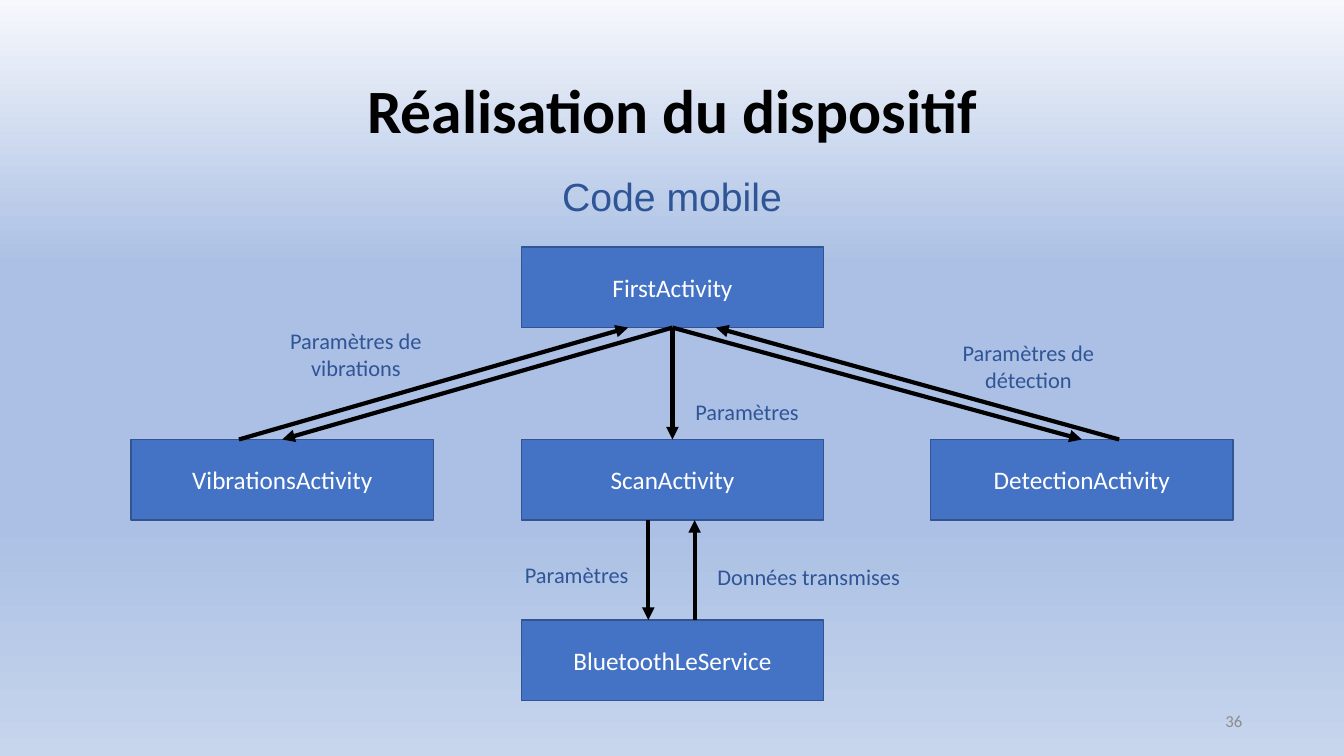
"""Build the slide that shows the activities of the mobile code."""
from lxml.etree import SubElement
from pptx import Presentation
from pptx.dml.color import RGBColor
from pptx.enum.shapes import MSO_CONNECTOR, MSO_SHAPE
from pptx.enum.text import MSO_ANCHOR, PP_ALIGN
from pptx.oxml import parse_xml
from pptx.oxml.ns import nsdecls, qn
from pptx.util import Inches, Pt

TITLE = "Réalisation du dispositif"
TOPIC = "Code mobile"
NUMBER = "36"
BLUE, EDGE, NAVY, BLACK, WHITE, GREY = (
    "4472C4", "325491", "2F5597", "000000", "FFFFFF", "8C8C8C")
STOPS = [(0, "F6F8FC"), (35, "ABC0E4"), (69, "ABC0E4"), (100, "C7D5ED")]
BOX_W, BOX_H = 3, 0.8
LEFT, MID, RIGHT = 1.3, 5.17, 9.23
TOP, ROW, LOW = 2.45, 4.36, 6.15
BOXES = {
    "FirstActivity": (MID, TOP),
    "ScanActivity": (MID, ROW),
    "VibrationsActivity": (LEFT, ROW),
    "DetectionActivity": (RIGHT, ROW),
    "BluetoothLeService": (MID, LOW),
}
CALLS = ["ScanActivity", "VibrationsActivity", "DetectionActivity"]
ARROWS = [
    (6.43, ROW + BOX_H, 6.43, LOW),
    (6.89, LOW, 6.89, ROW + BOX_H),
    (2.37, ROW, 6.23, TOP + BOX_H),
    (11.1, ROW, 7.1, TOP + BOX_H),
]
LABEL_W = 2.4
LABELS = [
    ("Paramètres de vibrations", 2.33, 3.2, 0.64),
    ("Paramètres de détection", 9, 3.32, 0.64),
    ("Paramètres", 6.21, 3.9, 0.37),
    ("Paramètres", 4.52, 5.52, 0.37),
    ("Données transmises", 6.82, 5.54, 0.37),
]


def color(code):
    return RGBColor.from_string(code)


def write(shape, text, size=16, code=NAVY, font="Calibri", bold=False,
          align=PP_ALIGN.CENTER, anchor=MSO_ANCHOR.TOP, space=None):
    frame = shape.text_frame
    frame.word_wrap = True
    frame.vertical_anchor = anchor
    para = frame.paragraphs[0]
    para.alignment = align
    para.line_spacing = space
    run = para.add_run()
    run.text = text
    run.font.size = Pt(size)
    run.font.name = font
    run.font.bold = bold
    run.font.color.rgb = color(code)


def add_text(slide, text, x, y, w, h, **style):
    area = slide.shapes.add_textbox(Inches(x), Inches(y), Inches(w), Inches(h))
    write(area, text, **style)


def add_box(slide, name, x, y):
    box = slide.shapes.add_shape(MSO_SHAPE.RECTANGLE, Inches(x), Inches(y),
                                 Inches(BOX_W), Inches(BOX_H))
    box.shadow.inherit = False
    box.fill.solid()
    box.fill.fore_color.rgb = color(BLUE)
    box.line.color.rgb = color(EDGE)
    box.line.width = Pt(1)
    write(box, name, size=18, code=WHITE, anchor=MSO_ANCHOR.MIDDLE)
    return box


def add_arrow(slide, *ends):
    arrow = slide.shapes.add_connector(MSO_CONNECTOR.STRAIGHT, *map(Inches, ends))
    arrow.line.color.rgb = color(BLACK)
    arrow.line.width = Pt(3)
    SubElement(arrow.line._get_or_add_ln(), qn("a:tailEnd"), type="triangle")
    SubElement(arrow._element.spPr, qn("a:effectLst"))
    return arrow


def paint(slide):
    fill = slide.background.fill
    fill.gradient()
    fill.gradient_angle = 270
    stops = slide.background._cSld.find(".//" + qn("a:gsLst"))
    for stop in list(stops):
        stops.remove(stop)
    for place, code in STOPS:
        stops.append(parse_xml(
            f'<a:gs {nsdecls("a")} pos="{place * 1000}">'
            f'<a:srgbClr val="{code}"/></a:gs>'))


def main():
    deck = Presentation()
    deck.slide_width, deck.slide_height = Inches(13.33), Inches(7.5)
    slide = deck.slides.add_slide(deck.slide_layouts[5])
    paint(slide)

    title = slide.shapes.title
    title.left, title.top = Inches(0.92), Inches(0.4)
    title.width, title.height = Inches(11.5), Inches(1.45)
    write(title, TITLE, size=44, code=BLACK, bold=True,
          anchor=MSO_ANCHOR.MIDDLE, space=0.9)
    add_text(slide, NUMBER, 9.42, 6.95, 3, 0.4, size=12, code=GREY,
             align=PP_ALIGN.RIGHT, anchor=MSO_ANCHOR.MIDDLE)
    add_text(slide, TOPIC, 2.6, 1.66, 8.13, 0.57, size=28, font="Arial")

    boxes = {name: add_box(slide, name, *spot) for name, spot in BOXES.items()}
    for name in CALLS:
        arrow = add_arrow(slide, MID + BOX_W / 2, TOP + BOX_H,
                          BOXES[name][0] + BOX_W / 2, ROW)
        arrow.begin_connect(boxes["FirstActivity"], 2)
        arrow.end_connect(boxes[name], 0)
    for ends in ARROWS:
        add_arrow(slide, *ends)
    for text, x, y, h in LABELS:
        add_text(slide, text, x, y, LABEL_W, h)
    deck.save("out.pptx")


if __name__ == "__main__":
    main()
